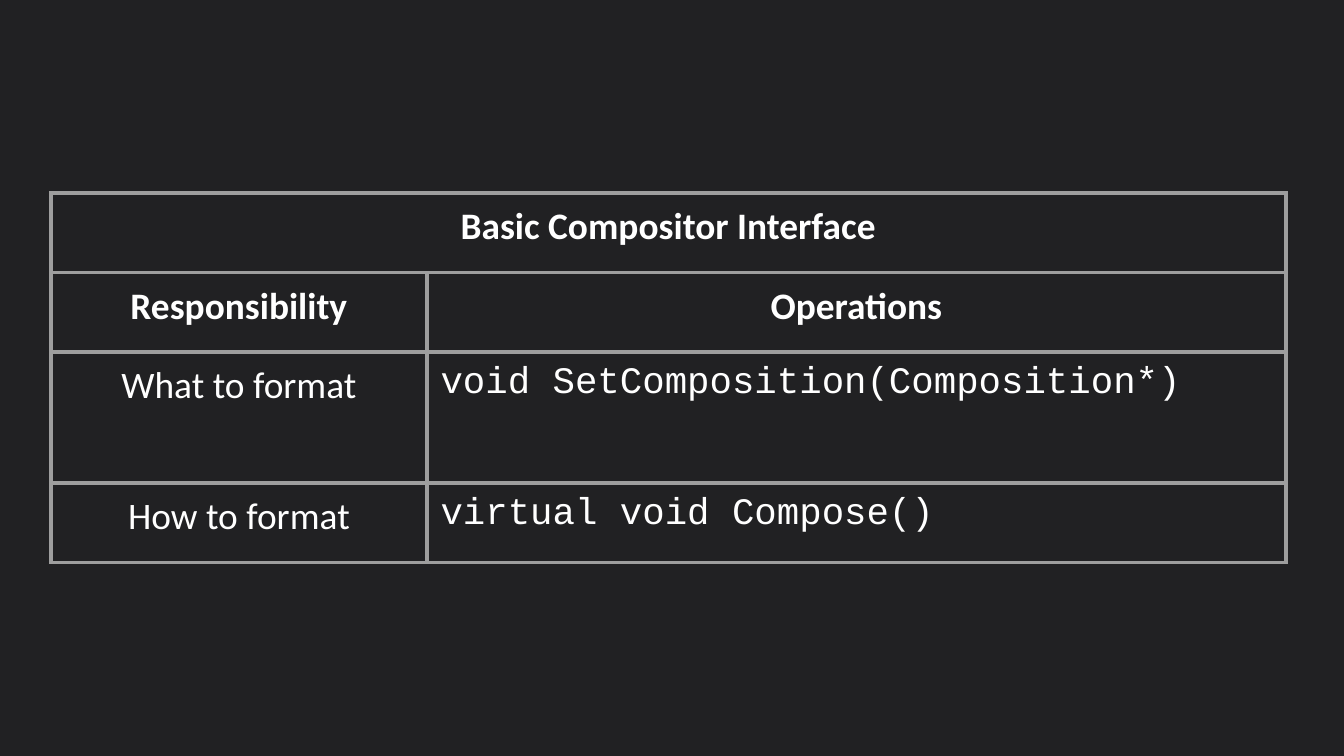
from lxml import etree
from pptx import Presentation
from pptx.dml.color import RGBColor
from pptx.enum import shapes, text
from pptx.oxml import ns
from pptx.util import Pt

DARK = RGBColor(0x21, 0x21, 0x23)
BLACK = RGBColor(0, 0, 0)
WHITE = RGBColor(0xFF, 0xFF, 0xFF)
GREY = RGBColor(0x9E, 0x9E, 0x9E)


def edge(cell):
    """Draw a grey line on all four sides of a cell."""
    props = cell._tc.get_or_add_tcPr()
    for side in ("lnL", "lnR", "lnT", "lnB"):
        line = etree.SubElement(props, ns.qn("a:" + side), w=str(Pt(2.25)))
        fill = etree.SubElement(line, ns.qn("a:solidFill"))
        etree.SubElement(fill, ns.qn("a:srgbClr"), val=str(GREY))


deck = Presentation()
deck.slide_width, deck.slide_height = Pt(720), Pt(405)
slide = deck.slides.add_slide(deck.slide_layouts[6])

# Background
slide.background.fill.solid()
slide.background.fill.fore_color.rgb = BLACK
panel = slide.shapes.add_shape(
    shapes.MSO_SHAPE.RECTANGLE, 0, 0, deck.slide_width, deck.slide_height)
panel.shadow.inherit = False
panel.fill.solid()
panel.fill.fore_color.rgb = DARK
panel.line.fill.background()

# Table grid
wides = [201.6, 460]
highs = [42.6, 42.6, 70.2, 42.6]
table = slide.shapes.add_table(
    len(highs), len(wides), Pt(27.2), Pt(103.5),
    Pt(sum(wides)), Pt(sum(highs))).table
table.first_row = table.horz_banding = False
for col, wide in zip(table.columns, wides):
    col.width = Pt(wide)
for row, high in zip(table.rows, highs):
    row.height = Pt(high)
table.cell(0, 0).merge(table.cell(0, 1))

# Cell text: two heading rows, then code in the right column
rows = [
    ["Basic Compositor Interface"],
    ["Responsibility", "Operations"],
    ["What to format", "void SetComposition(Composition*)"],
    ["How to format", "virtual void Compose()"],
]
for r, words in enumerate(rows):
    for c, word in enumerate(words):
        head = r < 2
        code = c == 1 and not head
        cell = table.cell(r, c)
        cell.margin_left = cell.margin_right = Pt(7.2)
        cell.margin_top = cell.margin_bottom = Pt(5.76)
        para = cell.text_frame.paragraphs[0]
        para.alignment = text.PP_ALIGN.LEFT if code else text.PP_ALIGN.CENTER
        run = para.add_run()
        run.text = word
        run.font.name = "Courier New" if code else "Calibri"
        run.font.size = Pt(20)
        run.font.bold = head
        run.font.color.rgb = WHITE

# Cell borders and fills
for cell in table.iter_cells():
    edge(cell)
    cell.fill.background()

deck.save("out.pptx")
